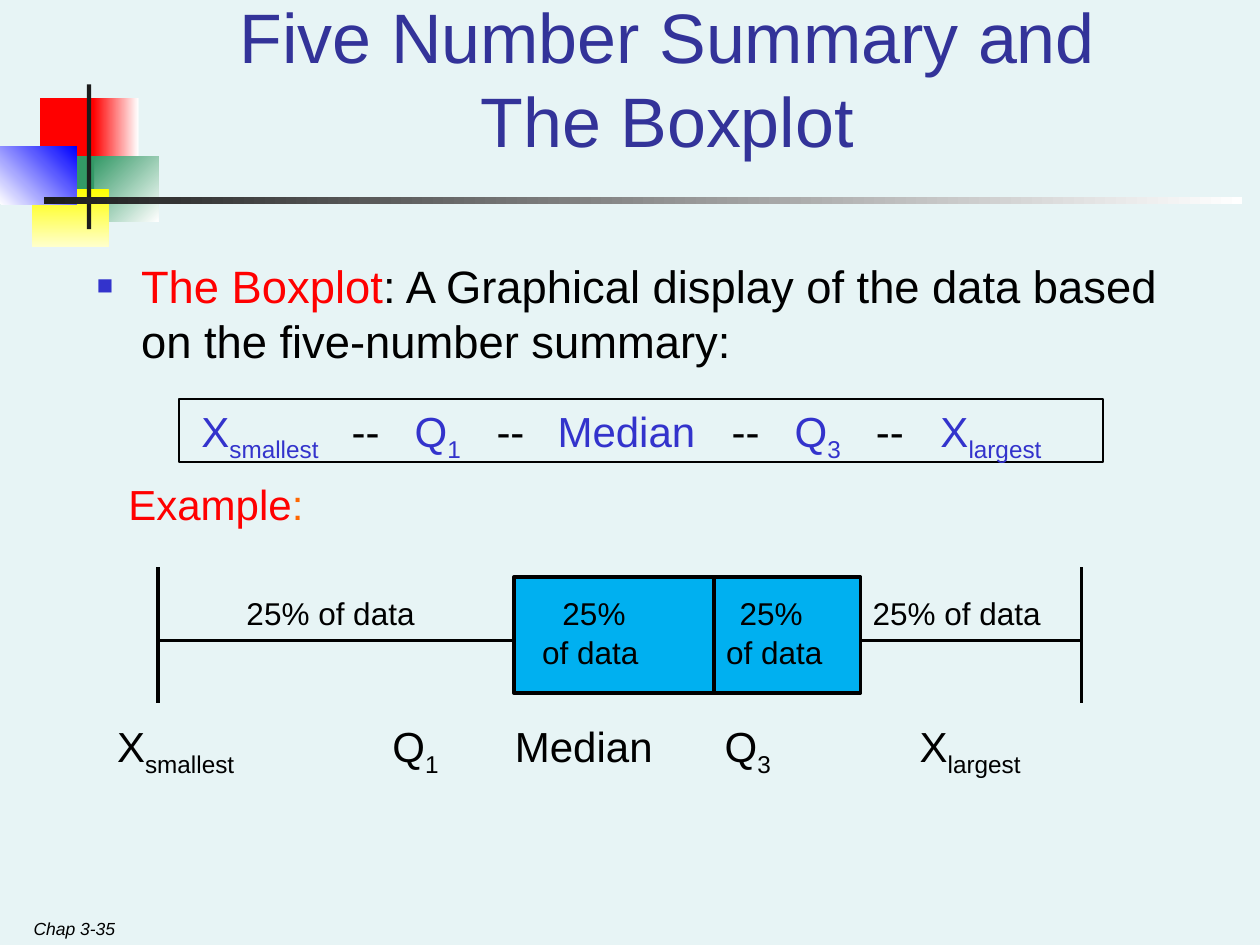
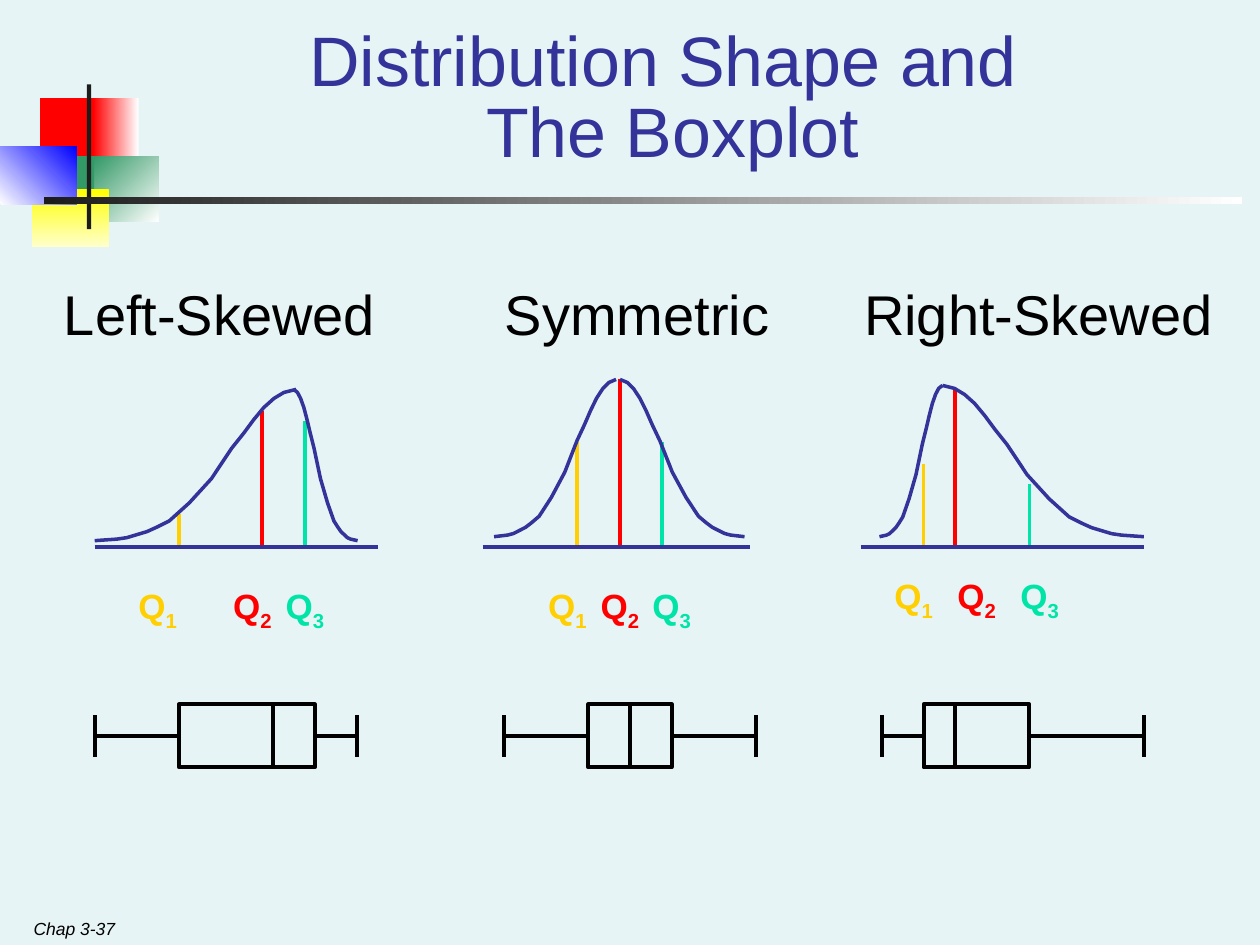
"""Builds two slides on the five-number summary and the boxplot."""
from lxml import etree
from pptx import Presentation
from pptx.dml.color import RGBColor
from pptx.enum.shapes import MSO_CONNECTOR as Link, MSO_SHAPE as Kind
from pptx.enum.text import MSO_ANCHOR as Anchor, MSO_AUTO_SIZE as Auto, PP_ALIGN as Align
from pptx.oxml.ns import qn
from pptx.util import Cm, Pt

hue = RGBColor.from_string
INK, NAVY, BLUE, RED = "000000", "333399", "3333CC", "FF0000"
GOLD, MINT, SKY, DARK = "FFCF01", "00E4A8", "00B0F0", "1C1C1C"


def write(box, place, runs, size, tabs=(), anchor=Anchor.TOP, para={}, **look):
    """Places a box and fills it; a run that starts with _ is a subscript."""
    box.left, box.top, box.width, box.height = [Cm(v) for v in place]
    frame = box.text_frame
    form = dict(word_wrap=True, auto_size=Auto.NONE, vertical_anchor=anchor)
    for key, val in form.items():
        setattr(frame, key, val)
    first = frame.paragraphs[0]
    if tabs:
        stops = etree.SubElement(first._p.get_or_add_pPr(), qn("a:tabLst"))
        for stop in tabs:
            etree.SubElement(stops, qn("a:tab"), pos=str(Cm(stop)), algn="l")
    for key, val in para.items():
        setattr(first, key, val)
    for text, tone in runs:
        if text == "\n":
            first.add_line_break()
            continue
        run = first.add_run()
        run.text = text.lstrip("_")
        for key, val in dict(name="Arial", size=Pt(size), **look).items():
            setattr(run.font, key, val)
        run.font.color.rgb = hue(tone)
        if text.startswith("_"):
            run._r.get_or_add_rPr().set("baseline", "-25000")
    return first


def rule(slide, x1, y1, x2, y2, tone=INK, width=2):
    """Draws a straight line without a shadow."""
    link = slide.shapes.add_connector(Link.STRAIGHT, Cm(x1), Cm(y1), Cm(x2), Cm(y2))
    link.line.color.rgb = hue(tone)
    link.line.width = Pt(width)
    etree.SubElement(link._element.spPr, qn("a:effectLst"))


deck = Presentation()
deck.slide_width, deck.slide_height = Cm(25.4), Cm(19.05)
master = deck.slide_master
master.background.fill.solid()
master.background.fill.fore_color.rgb = hue("E7F4F5")
plot = deck.slides.add_slide(deck.slide_layouts[1])
skew = deck.slides.add_slide(deck.slide_layouts[5])

marks = [
    (0.81, 1.98, 1.22, 1.32, RED, RED, 0),
    (1.88, 1.98, 0.91, 1.32, RED, "FFFFFF", 0),
    (1.9, 3.15, 1.3, 1.32, "339966", "FFFFFF", 45),
    (1.09, 3.15, 0.81, 1.32, "339966", "339966", 0),
    (0.64, 3.81, 1.55, 1.17, "FFFF00", "FFFFCC", 90),
    (0, 2.95, 1.55, 1.17, "FFFFFF", "0000FF", 315),
    (1.75, 1.7, 0.09, 2.92, DARK, DARK, 0),
    (0.89, 3.97, 24.15, 0.15, DARK, "FFFFFF", 0),
]
tree = master.shapes[0].element.getparent()
for n, (x, y, w, h, start, end, turn) in enumerate(marks):
    mark = plot.shapes.add_shape(Kind.RECTANGLE, Cm(x), Cm(y), Cm(w), Cm(h))
    mark.shadow.inherit = False
    mark.line.fill.background()
    if start == end:
        mark.fill.solid()
        mark.fill.fore_color.rgb = hue(start)
    else:
        mark.fill.gradient()
        mark.fill.gradient_angle = (360 - turn) % 360
        for stop, tone in zip(mark.fill.gradient_stops, (start, end)):
            stop.color.rgb = hue(tone)
    mark._element.nvSpPr.cNvPr.set("id", str(20 + n))
    tree.append(mark.element)

heads = [
    (plot, (3.2, 0.64, 20.5, 2.74), "Five Number Summary and", 1, "Chap 3-35"),
    (skew, (2.74, 1.47, 21.64, 2.11), "Distribution Shape and ", 0.84, "Chap 3-37"),
]
for slide, place, top, pitch, foot in heads:
    runs = [(top, NAVY), ("\n", NAVY), ("The Boxplot", NAVY)]
    write(slide.shapes.title, place, runs, 40, anchor=Anchor.BOTTOM,
          para=dict(alignment=Align.CENTER, line_spacing=pitch))
    write(slide.shapes.add_textbox(0, 0, 0, 0), (0.43, 18.16, 12.9, 0.89),
          [(foot, INK)], 10, anchor=Anchor.BOTTOM, italic=True)

runs = [("The Boxplot", RED),
        (": A Graphical display of the data based on the five-number summary:", INK)]
item = write(plot.placeholders[1], (1.7, 5.08, 22.43, 2.54), runs, 25.9,
             para=dict(space_before=Pt(0)))
props = item._p.get_or_add_pPr()
props.set("marL", str(Cm(0.89)))
props.set("indent", str(-Cm(0.89)))
tint = etree.SubElement(props, qn("a:buClr"))
etree.SubElement(tint, qn("a:srgbClr"), val=BLUE)
etree.SubElement(props, qn("a:buSzPct"), val="60000")
etree.SubElement(props, qn("a:buFont"), typeface="Arial")
etree.SubElement(props, qn("a:buChar"), char="■")

frames = [
    ((10.36, 11.63, 6.99, 2.34), SKY, 2),
    ((3.61, 8.05, 18.62, 1.27), None, 1.25),
]
for place, tone, width in frames:
    box = plot.shapes.add_shape(Kind.RECTANGLE, *[Cm(v) for v in place])
    box.shadow.inherit = False
    box.line.color.rgb = hue(INK)
    box.line.width = Pt(width)
    if tone:
        box.fill.solid()
        box.fill.fore_color.rgb = hue(tone)
    else:
        box.fill.background()

for ends in [(3.18, 11.43, 3.18, 14.17), (21.8, 11.43, 21.8, 14.17),
             (3.18, 12.91, 10.36, 12.91), (17.35, 12.91, 21.8, 12.91),
             (14.39, 11.66, 14.39, 13.97)]:
    rule(plot, *ends)

dash = ("\t--\t", INK)
sums = [("X", BLUE), ("_smallest", BLUE), dash, ("Q", BLUE), ("_1", BLUE), dash,
        ("Median", BLUE), dash, ("Q", BLUE), ("_3", BLUE), dash,
        ("X", BLUE), ("_largest", BLUE)]
names = ["X", "_smallest", "\tQ", "_1", "\tMedian", "\tQ", "_3", "\tX", "_largest"]
rows = [
    ((2.34, 9.53, 4.04, 1.27), [("Example", RED), (":", "FF6600")], 24, ()),
    ((3.81, 8.05, 18.85, 1.42), sums, 24,
     (3.03, 4.3, 5.95, 7.18, 10.69, 11.96, 13.6, 14.9)),
    ((4.24, 11.86, 17.15, 0.9), [("\t25% of data\t25%\t25%\t25% of data", INK)], 18,
     (0.48, 6.85, 10.42, 13.1)),
    ((4.24, 12.63, 17.15, 0.9), [("\tof data\tof data", INK)], 18, (6.44, 10.15)),
    ((2.11, 14.4, 22.05, 1.42), [(name, INK) for name in names], 24,
     (5.55, 8.02, 12.25, 16.18)),
]
for place, runs, size, tabs in rows:
    write(plot.shapes.add_textbox(0, 0, 0, 0), place, runs, size, tabs)

across = (0, 0.11, 0.16, 0.21, 0.26, 0.31, 0.37, 0.47, 0.58, 0.68, 0.74, 0.79,
          0.84, 0.89, 0.94, 1)
down = (1, 0.99, 0.98, 0.96, 0.94, 0.91, 0.87, 0.75, 0.59, 0.39, 0.29, 0.2,
        0.12, 0.06, 0.02, 0)
panels = [
    dict(name="Left-Skewed", left=1.04, axis=(1.91, 7.62), base=10.9, peak=7.85,
         sides=[(1.91, 5.97), (7.21, 5.92)], cuts=(3.61, 5.28, 6.15),
         tops=(10.36, 8.28, 8.48), tags=(2.54, 4.45, 5.51), row=11.66,
         box=(1.91, 3.61, 5.51, 6.35, 7.19)),
    dict(name="Symmetric", left=9.93, axis=(9.73, 15.11), base=10.82, peak=7.65,
         sides=[(9.96, 12.42), (15.01, 12.5)], cuts=(11.63, 12.5, 13.34),
         tops=(8.92, 7.65, 8.92), tags=(10.8, 11.86, 12.9), row=11.66,
         box=(10.16, 11.86, 12.7, 13.54, 15.24)),
    dict(name="Right-Skewed", left=17.17, axis=(17.35, 23.06), base=10.82, peak=7.77,
         sides=[(17.73, 19), (23.06, 19)], cuts=(18.62, 19.25, 20.75),
         tops=(9.35, 7.82, 9.75), tags=(17.78, 19.05, 20.32), row=11.46,
         box=(17.78, 18.62, 19.25, 20.75, 23.06)),
]
floor, roof, deep = 11.02, 14.2, 1.27
mid = roof + deep / 2
for panel in panels:
    write(skew.shapes.add_textbox(0, 0, 0, 0), (panel["left"], 5.51, 7.8, 1.6),
          [(panel["name"], INK)], 32)
    marks = zip(panel["cuts"], panel["tops"], panel["tags"], (GOLD, RED, MINT))
    for n, (x, top, tag, tone) in enumerate(marks, 1):
        rule(skew, x, top, x, floor, tone)
        write(skew.shapes.add_textbox(0, 0, 0, 0), (tag, panel["row"], 1.7, 1.22),
              [("Q", tone), (f"_{n}", tone)], 20, bold=True)
    base, peak = panel["base"], panel["peak"]
    for foot, crest in panel["sides"]:
        dots = [(Cm(foot + (crest - foot) * u), Cm(peak + (base - peak) * v))
                for u, v in zip(across, down)]
        pen = skew.shapes.build_freeform(*dots[0])
        pen.add_line_segments(dots[1:], close=False)
        curve = pen.convert_to_shape()
        curve.shadow.inherit = False
        curve.fill.background()
        curve.line.color.rgb = hue(NAVY)
        curve.line.width = Pt(2)
    start, end = panel["axis"]
    rule(skew, start, floor, end, floor, NAVY, 2.25)
    low, q1, q2, q3, high = panel["box"]
    box = skew.shapes.add_shape(Kind.RECTANGLE, Cm(q1), Cm(roof), Cm(q3 - q1), Cm(deep))
    box.shadow.inherit = False
    box.fill.background()
    box.line.color.rgb = hue(INK)
    box.line.width = Pt(2.25)
    for ends in [(low, mid, q1, mid), (q3, mid, high, mid),
                 (q2, roof, q2, roof + deep),
                 (low, mid - 0.42, low, mid + 0.42),
                 (high, mid - 0.42, high, mid + 0.42)]:
        rule(skew, *ends, width=2.25)

deck.save("out.pptx")
